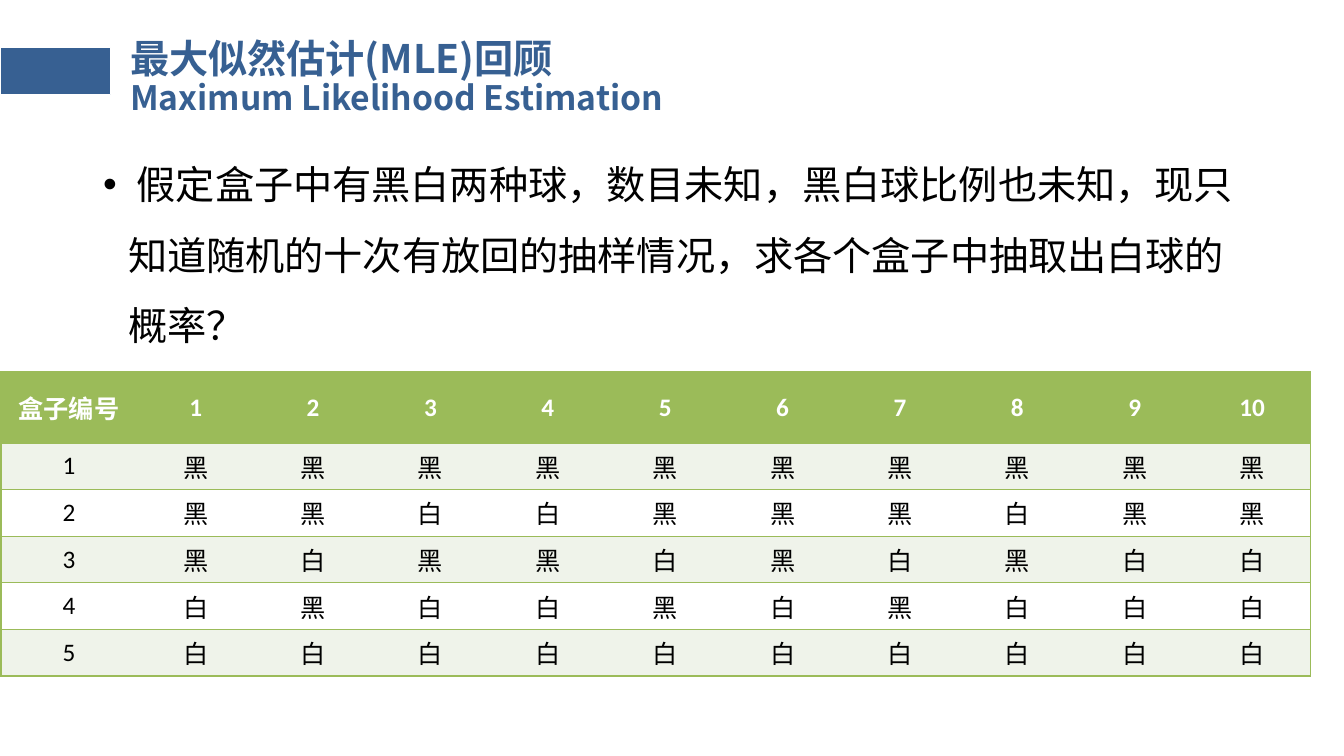
from lxml.etree import SubElement
from pptx import Presentation
from pptx.dml.color import RGBColor
from pptx.enum.shapes import MSO_SHAPE
from pptx.enum.text import MSO_ANCHOR, MSO_AUTO_SIZE, PP_ALIGN
from pptx.oxml.ns import qn
from pptx.util import Emu, Pt

COLORS = {
    "blue": "376092",
    "green": "9BBB59",
    "band": "EFF3EA",
    "white": "FFFFFF",
    "black": "000000",
}
CJK = "Noto Sans CJK SC"
LATIN = "Calibri"
DRAWS = ["黑黑黑黑黑黑黑黑黑黑", "黑黑白白黑黑黑白黑黑", "黑白黑黑白黑白黑白白",
         "白黑白白黑白黑白白白", "白白白白白白白白白白"]


def px(n):
    return Emu(round(n * 914400 / 100.8))


def rgb(name):
    return RGBColor.from_string(COLORS[name])


class SlideBuilder:
    """Hold the slide and its style, with a method for each kind of element."""

    def __init__(self, prs):
        self.s = prs.slides.add_slide(prs.slide_layouts[1])

    def place(self, sp, x, y, w, h):
        sp.left, sp.top, sp.width, sp.height = px(x), px(y), px(w), px(h)

    def font(self, r, size, color, bold=False, name=CJK):
        r.font.size, r.font.bold, r.font.name = Pt(size), bold, name
        r.font.color.rgb = rgb(color)
        latin = r._r.rPr.find(qn("a:latin"))
        ea = latin.makeelement(qn("a:ea"), {"typeface": CJK})
        latin.addnext(ea)

    def bar(self, x, y, w, h):
        sp = self.s.shapes.add_shape(MSO_SHAPE.RECTANGLE, px(x), px(y), px(w), px(h))
        sp.shadow.inherit = False
        sp.fill.solid()
        sp.fill.fore_color.rgb = rgb("blue")
        sp.line.color.rgb = rgb("white")
        sp.line.width = Pt(0.75)
        self.s.shapes._spTree.insert(2, sp._element)

    def title(self, lines, sizes, x, y, w, h):
        sp = self.s.shapes.title
        self.place(sp, x, y, w, h)
        tf = sp.text_frame
        tf.text = "\v".join(lines)
        tf.auto_size = MSO_AUTO_SIZE.NONE
        tf.vertical_anchor = MSO_ANCHOR.MIDDLE
        p = tf.paragraphs[0]
        p.alignment = PP_ALIGN.LEFT
        p.line_spacing = 0.9
        for r, size in zip(p.runs, sizes):
            self.font(r, size, "blue", True)
        for br in p._p.findall(qn("a:br")):
            SubElement(br, qn("a:rPr"), sz=str(sizes[0] * 100))

    def body(self, text, x, y, w, h):
        sp = self.s.placeholders[1]
        self.place(sp, x, y, w, h)
        tf = sp.text_frame
        tf.text = text
        tf.auto_size = MSO_AUTO_SIZE.NONE
        p = tf.paragraphs[0]
        p.line_spacing = 1.5
        p.space_before = Pt(10)
        pPr = p._p.get_or_add_pPr()
        pPr.set("marL", str(px(25)))
        pPr.set("indent", str(-px(25)))
        SubElement(pPr, qn("a:buFont"), typeface="Arial")
        SubElement(pPr, qn("a:buChar"), char="•")
        self.font(p.runs[0], 28, "black")

    def borders(self, cell, edges):
        tcPr = cell._tc.get_or_add_tcPr()
        for i, side in enumerate("LRTB"):
            ln = tcPr.makeelement(qn(f"a:ln{side}"), {"w": str(Pt(1))})
            if side in edges:
                fill = SubElement(ln, qn("a:solidFill"))
                SubElement(fill, qn("a:srgbClr"), val=COLORS["green"])
            else:
                SubElement(ln, qn("a:noFill"))
            tcPr.insert(i, ln)

    def cell(self, cell, text, fill, color, bold, edges):
        cell.text = text
        cell.vertical_anchor = MSO_ANCHOR.MIDDLE
        cell.fill.solid()
        cell.fill.fore_color.rgb = rgb(fill)
        p = cell.text_frame.paragraphs[0]
        p.alignment = PP_ALIGN.CENTER
        self.font(p.runs[0], 18, color, bold, LATIN)
        self.borders(cell, edges)

    def table(self, rows, x, y, w, first_w, head_h, row_h):
        last = len(rows[0]) - 1
        height = head_h + row_h * (len(rows) - 1)
        tbl = self.s.shapes.add_table(len(rows), last + 1, px(x), px(y), px(w), px(height)).table
        tbl.horz_banding = False
        for j, col in enumerate(tbl.columns):
            col.width = px((w - first_w) / last) if j else px(first_w)
        for i, row in enumerate(rows):
            tbl.rows[i].height = px(row_h if i else head_h)
            fill = "green" if i == 0 else "band" if i % 2 else "white"
            color = "black" if i else "white"
            for j, text in enumerate(row):
                edges = "TB" + ("L" if j == 0 else "R" if j == last else "")
                self.cell(tbl.cell(i, j), text, fill, color, i == 0, edges)


def main():
    prs = Presentation()
    prs.slide_width, prs.slide_height = px(1344), px(756)
    b = SlideBuilder(prs)
    b.bar(0, 48, 111, 47)
    b.title(["最大似然估计(MLE)回顾", "Maximum Likelihood Estimation"], [28, 24],
            120, 18, 1159, 121)
    b.body(" 假定盒子中有黑白两种球，数目未知，黑白球比例也未知，"
           "现只知道随机的十次有放回的抽样情况，求各个盒子中抽取出白球的概率？",
           93, 132, 1159, 548)
    header = ["盒子编号", *map(str, range(1, 11))]
    boxes = [[str(n), *draws] for n, draws in enumerate(DRAWS, 1)]
    b.table([header, *boxes], 1, 372, 1310, 136, 71, 41)
    prs.save("out.pptx")


if __name__ == "__main__":
    main()
